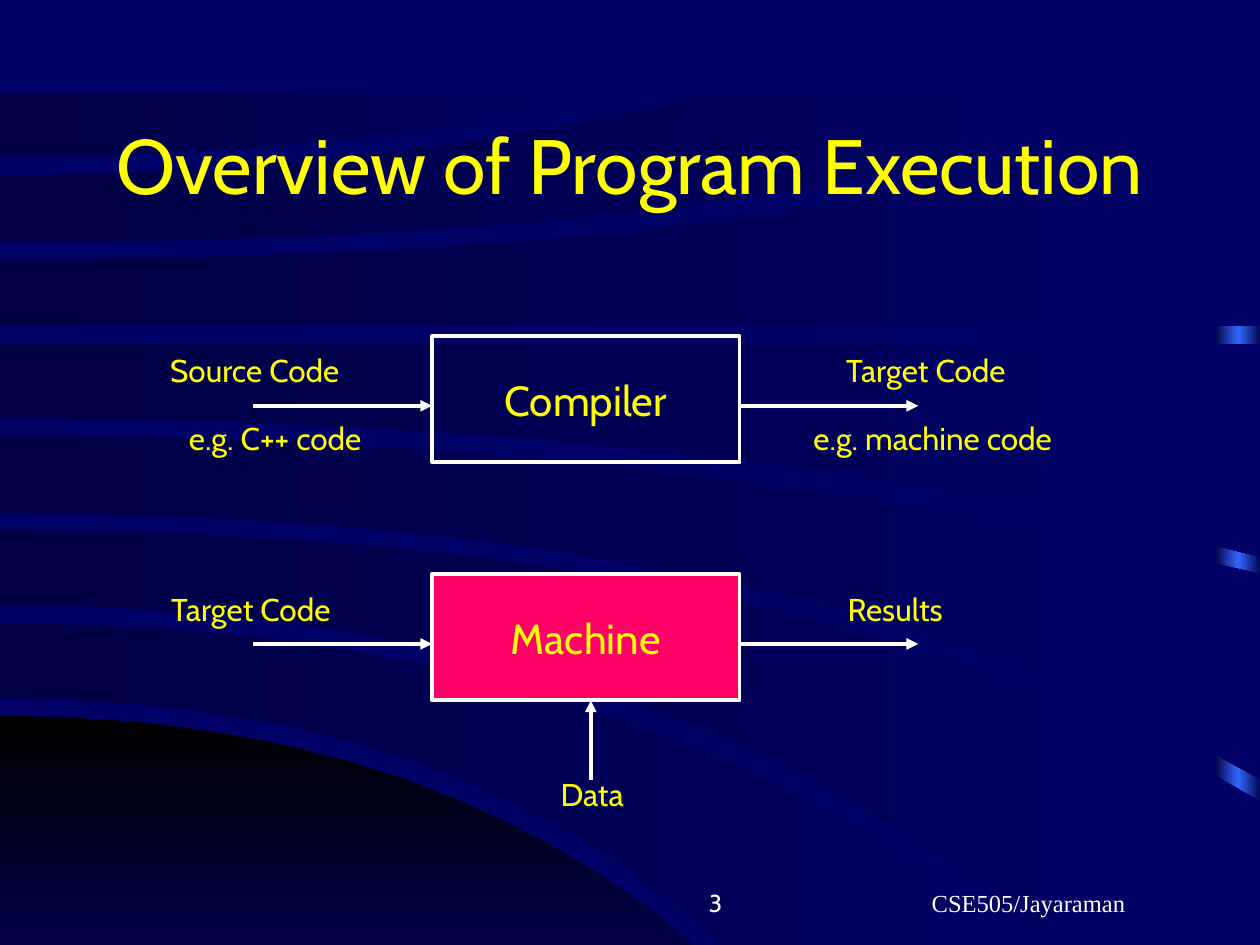
"""Build a slide on how a compiler and a machine run a program."""
from copy import deepcopy

from lxml import etree
from pptx import Presentation
from pptx.dml.color import RGBColor
from pptx.enum import shapes, text
from pptx.oxml import ns
from pptx.util import Cm, Pt

COLORS = {
    "navy": "000066", "deep": "000044", "black": "000000", "glow": "3366FF",
    "yellow": "FFFF00", "white": "FFFFFF", "pink": "FF0066",
}
FONT = "Cabin"
TITLE = "Overview of Program Execution"

RIGHT, CEILING, FLOOR = 25.43, 1.9, 20.96
HILL = {"upper": (14.43, 10.2, 15.98, 21), "lower": (21, 8, 15.98, 21)}
BANDS = [
    {"upper": (12.57, 14.7, 22.71, FLOOR), "lower": (14.07, 10.8, 16.33, FLOOR)},
    {"upper": (10.69, 16.5, RIGHT, 16.18), "lower": (12.19, 15.2, 23.11, FLOOR),
     "corner": (RIGHT, FLOOR)},
    {"upper": (8.79, 13.8, RIGHT, 11.58), "lower": (10.34, 16.2, RIGHT, 15.72)},
    {"upper": (6.93, 13, RIGHT, 6.93), "lower": (8.43, 14.7, RIGHT, 11.23)},
    {"upper": (5.23, 17.9, 23.98, CEILING), "lower": (6.58, 13, RIGHT, 6.58),
     "corner": (RIGHT, CEILING)},
    {"upper": (3.53, 7.9, 14.15, CEILING), "lower": (4.88, 16.3, 23.32, CEILING)},
    {"upper": (CEILING, 6, 12.75, CEILING), "lower": (3.15, 6.8, 12.75, CEILING)},
]
STEPS = 16

BOX_LEFT, BOX_WIDTH, BOX_HEIGHT = 8.71, 6.2, 2.54
ARROW_LENGTH, ARROW_DROP = 3.6, 1.4
ABOVE, BELOW = 0.18, 1.55
STAGES = [
    {"name": "Compiler", "top": 6.78, "fill": None, "captions": [
        ("Source Code", 3.18, ABOVE, 4.24), ("Target Code", 16.81, ABOVE, 4.14),
        ("e.g. C++ code", 3.56, BELOW, 4.5), ("e.g. machine code", 16.15, BELOW, 5.87)]},
    {"name": "Machine", "top": 11.58, "fill": "pink", "captions": [
        ("Target Code", 3.2, ABOVE, 4.14), ("Results", 16.84, ABOVE, 2.64),
        ("Data", 11.05, 3.91, 1.9)]},
]
DATA_ARROW = (11.91, 15.72, 11.91, 14.12)
FOOTERS = [
    ("CSE505/Jayaraman", 16.71, 8.05, "Times New Roman", text.PP_ALIGN.CENTER),
    ("3", 9.53, 5.28, FONT, text.PP_ALIGN.RIGHT),
]


def rgb(name):
    return RGBColor.from_string(COLORS[name])


def write(shape, words, size, color="yellow", font=FONT, align=text.PP_ALIGN.LEFT,
          anchor=text.MSO_ANCHOR.TOP, wrap=False):
    frame = shape.text_frame
    frame.text = words
    frame.word_wrap = wrap
    frame.auto_size = text.MSO_AUTO_SIZE.NONE
    frame.vertical_anchor = anchor
    para = frame.paragraphs[0]
    para.alignment = align
    para.font.size = Pt(size)
    para.font.name = font
    para.font.color.rgb = rgb(color)


def shade(shape, names, angle=0):
    shape.shadow.inherit = False
    shape.line.fill.background()
    shape.fill.gradient()
    shape.fill.gradient_angle = angle
    stop_list = shape._element.spPr.find(".//" + ns.qn("a:gsLst"))
    while len(stop_list) < len(names):
        stop_list.append(deepcopy(stop_list[-1]))
    for index, (stop, name) in enumerate(zip(shape.fill.gradient_stops, names)):
        stop.position = index / (len(names) - 1)
        stop.color.rgb = rgb(name)


def curve(start_y, bend_x, end_x, end_y):
    """Sample a quadratic curve that leaves the left edge level."""
    times = [step / STEPS for step in range(STEPS + 1)]
    return [(2 * t * (1 - t) * bend_x + t * t * end_x,
             (1 - t * t) * start_y + t * t * end_y) for t in times]


def sweep(page, band):
    corner = [band["corner"]] if "corner" in band else []
    points = curve(*band["upper"]) + corner + curve(*band["lower"])[::-1]
    corners = [(Cm(x), Cm(y)) for x, y in points]
    builder = page.shapes.build_freeform(*corners[0])
    builder.add_line_segments(corners[1:], close=True)
    return builder.convert_to_shape()


def arrow(page, *ends):
    line = page.shapes.add_connector(shapes.MSO_CONNECTOR.STRAIGHT, *map(Cm, ends))
    line.line.color.rgb = rgb("white")
    line.line.width = Pt(2.25)
    etree.SubElement(line.line._get_or_add_ln(), ns.qn("a:tailEnd"), type="triangle")
    etree.SubElement(line._element.spPr, ns.qn("a:effectLst"))


def textbox(page, left, top, width, height):
    return page.shapes.add_textbox(Cm(left), Cm(top), Cm(width), Cm(height))


def draw_backdrop(page):
    page.background.fill.solid()
    page.background.fill.fore_color.rgb = rgb("navy")
    strip = page.shapes.add_shape(shapes.MSO_SHAPE.RECTANGLE,
                                  Cm(24.49), Cm(1.95), Cm(0.94), Cm(19.05))
    shade(strip, ["deep", "glow", "deep"])
    shade(sweep(page, HILL), ["black", "navy"], angle=270)
    for band in BANDS:
        shade(sweep(page, band), ["deep", "navy"])


def draw_stage(page, stage):
    top = stage["top"]
    box = page.shapes.add_shape(shapes.MSO_SHAPE.RECTANGLE, Cm(BOX_LEFT), Cm(top),
                                Cm(BOX_WIDTH), Cm(BOX_HEIGHT))
    box.shadow.inherit = False
    if stage["fill"]:
        box.fill.solid()
        box.fill.fore_color.rgb = rgb(stage["fill"])
    else:
        box.fill.background()
    box.line.color.rgb = rgb("white")
    box.line.width = Pt(2.25)
    write(box, stage["name"], 24, align=text.PP_ALIGN.CENTER, anchor=text.MSO_ANCHOR.MIDDLE)
    for start in (BOX_LEFT - ARROW_LENGTH, BOX_LEFT + BOX_WIDTH):
        arrow(page, start, top + ARROW_DROP, start + ARROW_LENGTH, top + ARROW_DROP)
    for words, left, drop, width in stage["captions"]:
        write(textbox(page, left, top + drop, width, 1.02), words, 18)


def main():
    deck = Presentation()
    deck.slide_width, deck.slide_height = Cm(25.4), Cm(19.05)
    page = deck.slides.add_slide(deck.slide_layouts[5])
    draw_backdrop(page)

    title = page.shapes.title
    title._element.getparent().append(title._element)
    title.left, title.top, title.width, title.height = Cm(1.9), Cm(1.7), Cm(21.6), Cm(3.18)
    write(title, TITLE, 44, align=text.PP_ALIGN.CENTER,
          anchor=text.MSO_ANCHOR.MIDDLE, wrap=True)

    for stage in STAGES:
        draw_stage(page, stage)
    arrow(page, *DATA_ARROW)
    for words, left, width, font, align in FOOTERS:
        write(textbox(page, left, 17.35, width, 1.27), words, 14, "white", font, align,
              text.MSO_ANCHOR.BOTTOM, wrap=True)
    deck.save("out.pptx")


if __name__ == "__main__":
    main()
